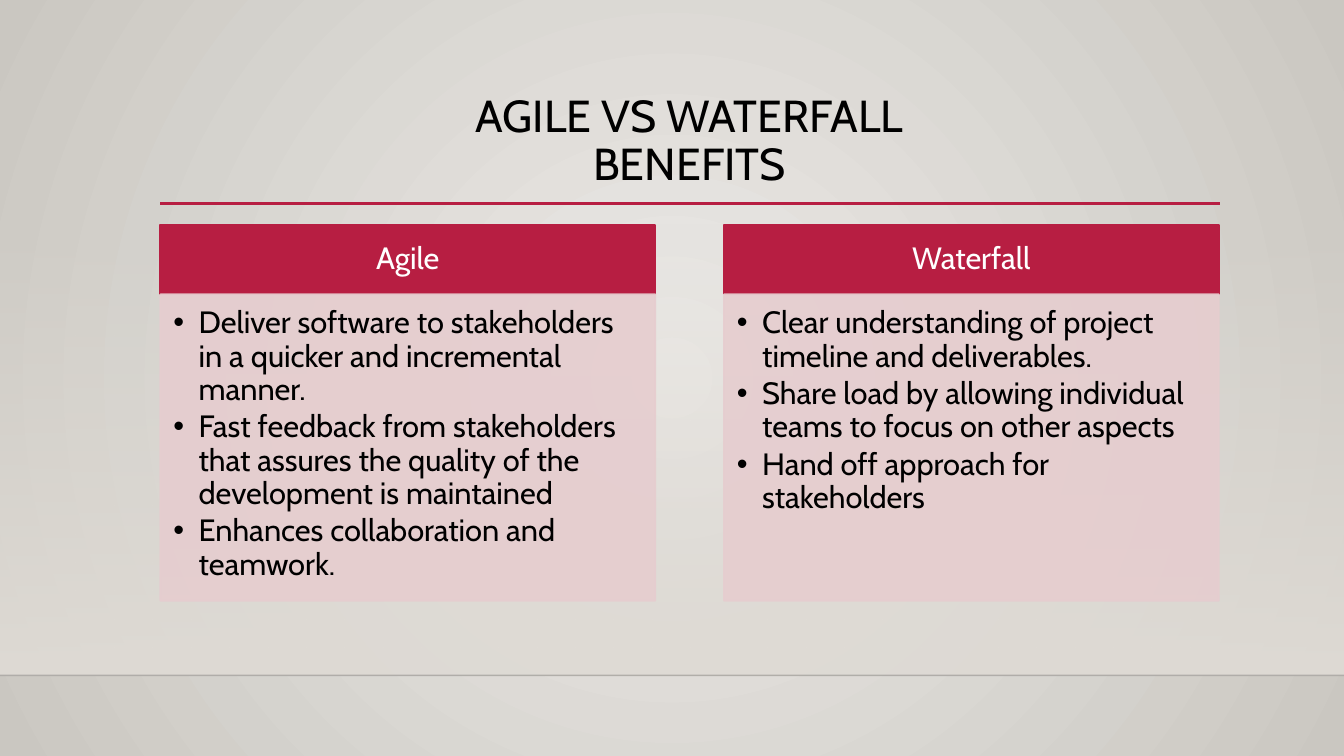
from dataclasses import dataclass

from lxml import etree
from pptx import Presentation
from pptx import util as u
from pptx.dml import color, fill
from pptx.enum import shapes, text
from pptx.oxml import ns

FONT = "Cabin"
CRIMSON = "B71E42"
BLUSH = "E6CDCF"
STONE = "DFDBD5"
BLACK = "000000"
WHITE = "FFFFFF"
SLIDE_WIDTH = u.Inches(13.33)
SLIDE_HEIGHT = u.Inches(7.5)

LEFT = 11.93
CARD_WIDTH = 36.83
CARD_STEP = 41.93
HEADER_TOP = 29.73
HEADER_HEIGHT = 9.2
LIST_HEIGHT = 40.53


@dataclass
class Area:
    left: float
    top: float
    width: float
    height: float


@dataclass
class Card:
    heading: str
    benefits: list[str]
    heading_index: int
    list_index: int


@dataclass
class Rule:
    start: float
    end: float
    top: float
    colour: str
    points: float
    opacity: int


CARDS = [
    Card("Agile", [
        "Deliver software to stakeholders in a quicker and incremental manner.",
        "Fast feedback from stakeholders that assures the quality of the development is maintained",
        "Enhances collaboration and teamwork.",
    ], 1, 2),
    Card("Waterfall", [
        "Clear understanding of project timeline and deliverables.",
        "Share load by allowing individual teams to focus on other aspects",
        "Hand off approach for stakeholders",
    ], 3, 4),
]
RULES = [
    Rule(0, 100, 89.33, "000001", 1, 20),
    Rule(LEFT, 90.77, 26.93, CRIMSON, 2.5, 100),
]


def across(share: float) -> int:
    return round(SLIDE_WIDTH * share / 100)


def down(share: float) -> int:
    return round(SLIDE_HEIGHT * share / 100)


def paint(colour_format, colour: str) -> None:
    colour_format.rgb = color.RGBColor.from_string(colour)


def set_opacity(colour_element, percent: int) -> None:
    alpha = etree.SubElement(colour_element, ns.qn("a:alpha"))
    alpha.set("val", str(percent * 1000))


def fade(shape, percent: int) -> None:
    for colour_element in shape._element.spPr.iter(ns.qn("a:srgbClr")):
        set_opacity(colour_element, percent)


def set_gradient(target: fill.FillFormat, colours: list[str]) -> None:
    target.gradient()
    target.gradient_angle = 270
    for position, (stop, colour) in enumerate(zip(target.gradient_stops, colours)):
        stop.position = position
        paint(stop.color, colour)


def place(box, area: Area) -> None:
    box.left, box.top = across(area.left), down(area.top)
    box.width, box.height = across(area.width), down(area.height)


def set_frame(box, anchor, insets: list[float]) -> None:
    frame = box.text_frame
    frame.word_wrap = True
    frame.auto_size = text.MSO_AUTO_SIZE.NONE
    frame.vertical_anchor = anchor
    (frame.margin_left, frame.margin_top,
     frame.margin_right, frame.margin_bottom) = map(u.Inches, insets)


def set_panel(box, colour: str) -> None:
    box.fill.solid()
    paint(box.fill.fore_color, colour)
    paint(box.line.color, colour)
    box.line.width = u.Pt(1.25)


def add_span(para, words: str, size: float, colour: str) -> None:
    span = para.add_run()
    span.text = words
    span.font.name = FONT
    span.font.size = u.Pt(size)
    span.font.bold = False
    paint(span.font.color, colour)


def set_spacing(para, after: float = 0) -> None:
    para.line_spacing = 0.9
    para.space_before = u.Pt(0)
    para.space_after = u.Pt(after)


def draw_background(page) -> None:
    set_gradient(page.background.fill, ["ECEAE7", "CAC7C1"])
    gradient = next(page._element.iter(ns.qn("a:gradFill")))
    gradient.remove(gradient.find(ns.qn("a:lin")))
    circle = etree.SubElement(gradient, ns.qn("a:path"), path="circle")
    etree.SubElement(circle, ns.qn("a:fillToRect"),
                     l="50000", t="50000", r="50000", b="50000")


def draw_wall(page) -> None:
    wall = page.shapes.add_shape(shapes.MSO_SHAPE.RECTANGLE, 0, 0, 1, 1)
    place(wall, Area(0, 29.47, 100, 59.86))
    wall.shadow.inherit = False
    wall.line.fill.background()
    set_gradient(wall.fill, [STONE, STONE])
    set_opacity(next(wall._element.spPr.iter(ns.qn("a:srgbClr"))), 0)
    page.shapes._spTree.insert(2, wall._element)


def draw_rule(page, rule: Rule) -> None:
    line = page.shapes.add_connector(
        shapes.MSO_CONNECTOR.STRAIGHT, across(rule.start), down(rule.top),
        across(rule.end), down(rule.top))
    paint(line.line.color, rule.colour)
    line.line.width = u.Pt(rule.points)
    fade(line, rule.opacity)
    etree.SubElement(line._element.spPr, ns.qn("a:effectLst"))


def draw_title(page) -> None:
    title = page.shapes.title
    place(title, Area(LEFT, 11.73, 78.77, 15.33))
    set_frame(title, text.MSO_ANCHOR.TOP, [0.1, 0.05, 0.1, 0.05])
    para = title.text_frame.paragraphs[0]
    para.alignment = text.PP_ALIGN.CENTER
    set_spacing(para)
    add_span(para, "AGILE VS WATERFALL", 32, BLACK)
    para.add_line_break()
    add_span(para, "BENEFITS", 32, BLACK)


def draw_card(page, card: Card, left: float) -> None:
    boxes = {box.placeholder_format.idx: box for box in page.placeholders}

    header = boxes[card.heading_index]
    place(header, Area(left, HEADER_TOP, CARD_WIDTH, HEADER_HEIGHT))
    set_frame(header, text.MSO_ANCHOR.MIDDLE, [0.17, 0.1, 0.17, 0.1])
    set_panel(header, CRIMSON)
    para = header.text_frame.paragraphs[0]
    para.alignment = text.PP_ALIGN.CENTER
    set_spacing(para)
    add_span(para, card.heading, 22, WHITE)

    panel = boxes[card.list_index]
    place(panel, Area(left, HEADER_TOP + HEADER_HEIGHT, CARD_WIDTH, LIST_HEIGHT))
    set_frame(panel, text.MSO_ANCHOR.TOP, [0.13, 0.13, 0.17, 0.19])
    set_panel(panel, BLUSH)
    fade(panel, 90)
    frame = panel.text_frame
    for number, benefit in enumerate(card.benefits):
        para = frame.add_paragraph() if number else frame.paragraphs[0]
        set_spacing(para, after=3)
        properties = para._p.get_or_add_pPr()
        properties.set("marL", str(u.Inches(0.25)))
        properties.set("indent", str(-u.Inches(0.25)))
        add_span(para, benefit, 22, BLACK)


def main() -> None:
    deck = Presentation()
    deck.slide_width, deck.slide_height = SLIDE_WIDTH, SLIDE_HEIGHT
    page = deck.slides.add_slide(deck.slide_layouts.get_by_name("Comparison"))
    draw_background(page)
    draw_wall(page)
    for rule in RULES:
        draw_rule(page, rule)
    draw_title(page)
    for column, card in enumerate(CARDS):
        draw_card(page, card, LEFT + column * CARD_STEP)
    deck.save("out.pptx")


if __name__ == "__main__":
    main()
